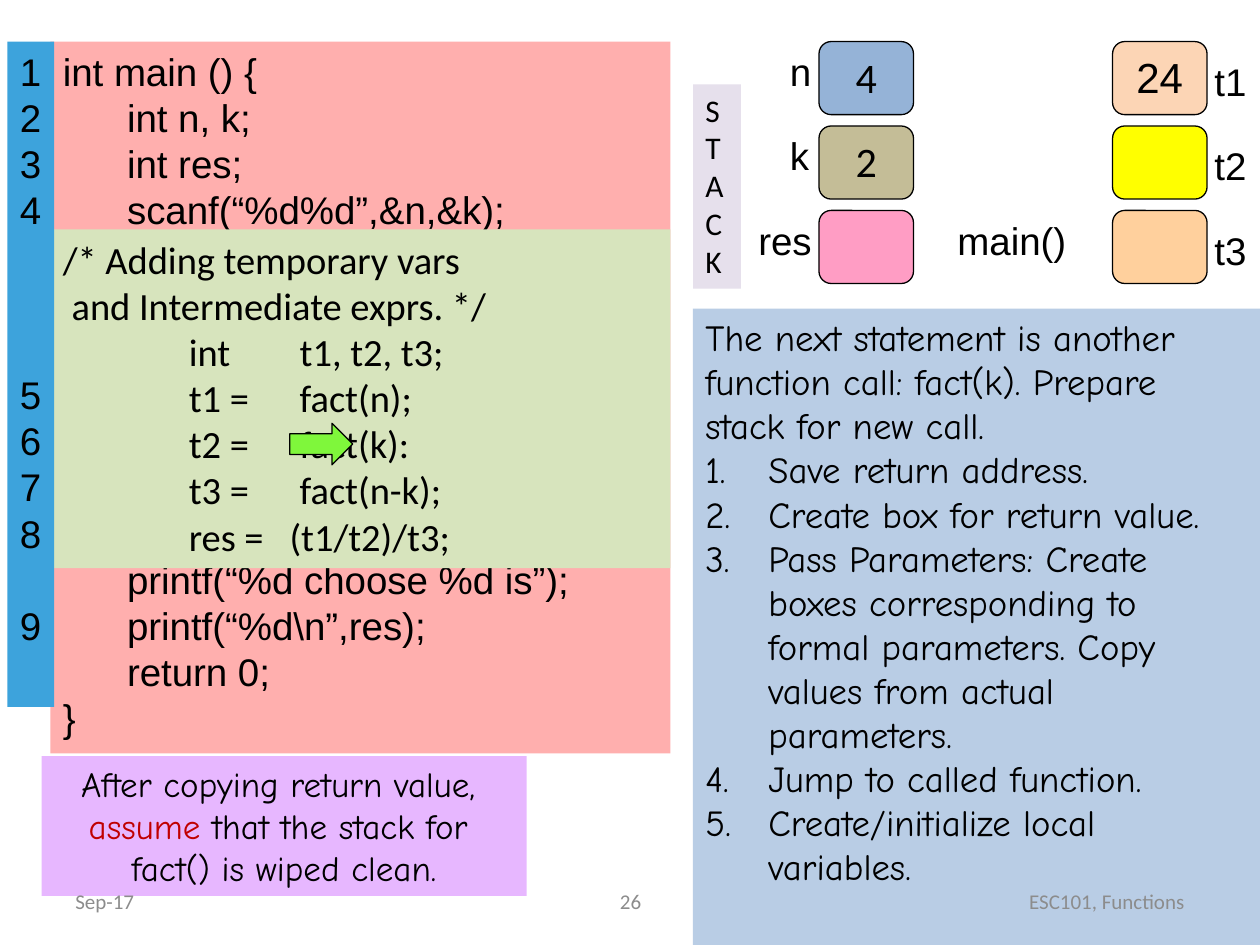
from dataclasses import dataclass

from lxml import etree
from pptx import Presentation
from pptx.dml.color import RGBColor
from pptx.enum.shapes import MSO_SHAPE
from pptx.enum.text import MSO_ANCHOR, MSO_AUTO_SIZE, PP_ALIGN
from pptx.oxml.ns import qn
from pptx.util import Inches, Pt

RECT, ROUND, ARROW = MSO_SHAPE.RECTANGLE, MSO_SHAPE.ROUNDED_RECTANGLE, MSO_SHAPE.RIGHT_ARROW
LEFT, CENTER, RIGHT = PP_ALIGN.LEFT, PP_ALIGN.CENTER, PP_ALIGN.RIGHT
TOP, MIDDLE = MSO_ANCHOR.TOP, MSO_ANCHOR.MIDDLE
GROW, FIXED = MSO_AUTO_SIZE.SHAPE_TO_FIT_TEXT, MSO_AUTO_SIZE.NONE

BLACK = RGBColor(0x00, 0x00, 0x00)
GRAY = RGBColor(0x8C, 0x8C, 0x8C)
RED = RGBColor(0xC0, 0x00, 0x00)
BLUE = RGBColor(0x95, 0xB3, 0xD7)
TAN = RGBColor(0xC4, 0xBD, 0x97)
PINK = RGBColor(0xFF, 0x9D, 0xC4)
PEACH = RGBColor(0xFC, 0xD5, 0xB5)
YELLOW = RGBColor(0xFF, 0xFF, 0x00)
ORANGE = RGBColor(0xFF, 0xD0, 0x9D)
LAVENDER = RGBColor(0xE6, 0xE0, 0xEC)
PURPLE = RGBColor(0xE7, 0xB7, 0xFF)
PALE_BLUE = RGBColor(0xB9, 0xCD, 0xE5)
SALMON = RGBColor(0xFF, 0xAF, 0xAE)
PALE_GREEN = RGBColor(0xD7, 0xE4, 0xBD)
SKY = RGBColor(0x3D, 0xA3, 0xDC)
GREEN = RGBColor(0x7F, 0xF7, 0x3B)

CODE_SIZE = 22
CODE_LINE = 1.2 * CODE_SIZE
ROW_TOP, ROW_STEP = 0.33, 0.67
BOX_W, BOX_H = 0.75, 0.58


@dataclass
class Para:
    text: str
    indent: float = 0
    skip: int = 0  # code lines left free above
    tabs: tuple[float, ...] = ()
    numbered: bool = False
    accent: str = ""  # leading words in red


@dataclass
class Variable:
    name: str
    row: int
    box_left: float
    fill: RGBColor
    label: tuple[float, float, float]  # left, offset from the row, width
    value: str = ""
    value_font: str = "Calibri"


def add_box(left: float, top: float, width: float, height: float, fill: RGBColor,
            kind=RECT, outlined: bool = False):
    sp = s.shapes.add_shape(kind, Inches(left), Inches(top), Inches(width), Inches(height))
    sp.shadow.inherit = False
    sp.fill.solid()
    sp.fill.fore_color.rgb = fill
    if outlined:
        sp.line.color.rgb = BLACK
        sp.line.width = Pt(0.75)
    else:
        sp.line.fill.background()
    return sp


def add_label(left: float, top: float, width: float, height: float):
    return s.shapes.add_textbox(Inches(left), Inches(top), Inches(width), Inches(height))


def write(sp, paras: list[Para], *, size: float, font: str = "Arial", color: RGBColor = BLACK,
          align=LEFT, anchor=TOP, wrap: bool = True, auto=FIXED) -> None:
    tf = sp.text_frame
    tf.word_wrap, tf.auto_size, tf.vertical_anchor = wrap, auto, anchor
    for i, para in enumerate(paras):
        p = tf.paragraphs[0] if i == 0 else tf.add_paragraph()
        p.alignment = align
        if para.skip:
            p.space_before = Pt(para.skip * CODE_LINE)
        pPr = p._p.get_or_add_pPr()
        if para.indent:
            pPr.set("marL", str(Inches(para.indent)))
            pPr.set("indent", str(-Inches(para.indent) if para.numbered else 0))
        if para.numbered:
            etree.SubElement(pPr, qn("a:buAutoNum"), type="arabicPeriod")
        if para.tabs:
            tab_list = etree.SubElement(pPr, qn("a:tabLst"))
            for pos in para.tabs:
                etree.SubElement(tab_list, qn("a:tab"), pos=str(Inches(pos)), algn="l")
        for text, rgb in ((para.accent, RED), (para.text, color)):
            if text:
                r = p.add_run()
                r.text = text
                r.font.size, r.font.name, r.font.color.rgb = Pt(size), font, rgb


def add_variable(v: Variable) -> None:
    top = ROW_TOP + v.row * ROW_STEP
    sp = add_box(v.box_left, top, BOX_W, BOX_H, v.fill, ROUND, outlined=True)
    if v.value:
        write(sp, [Para(v.value)], size=24, font=v.value_font, align=CENTER)
    left, offset, width = v.label
    write(add_label(left, top + offset, width, 0.47), [Para(v.name)],
          size=22, wrap=False, auto=GROW)


prs = Presentation()
prs.slide_width, prs.slide_height = Inches(10), Inches(7.5)
s = prs.slides.add_slide(prs.slide_layouts[6])

# Variables of main() on the stack
for variable in (
    Variable("n", 0, 6.5, BLUE, (6.17, 0, 0.37), "4"),
    Variable("k", 1, 6.5, TAN, (6.17, 0, 0.36), "2"),
    Variable("res", 2, 6.5, PINK, (5.92, 0, 0.63)),
    Variable("t1", 0, 8.83, PEACH, (9.54, 0.08, 0.46), "24", "Arial"),
    Variable("t2", 1, 8.83, YELLOW, (9.54, 0.08, 0.46)),
    Variable("t3", 2, 8.83, ORANGE, (9.54, 0.08, 0.46)),
):
    add_variable(variable)
write(add_label(7.5, 1.67, 1.08, 0.47), [Para("main()")], size=22, wrap=False, auto=GROW)
write(add_box(5.5, 0.67, 0.38, 1.62, LAVENDER), [Para(c) for c in "STACK"],
      size=18, font="Calibri", wrap=False, auto=GROW)

# Remark below the code
write(add_box(0.33, 6, 3.85, 1.11, PURPLE),
      [Para("After copying return value, "),
       Para(" that the stack for ", accent="assume"),
       Para("fact() is wiped clean.")],
      size=20, font="Comic Neue", align=CENTER, wrap=False, auto=GROW)

# Steps of the call
steps = ("Save return address.", "Create box for return value.",
         "Pass Parameters: Create boxes corresponding to formal parameters. "
         "Copy values from actual parameters.",
         "Jump to called function.", "Create/initialize local variables.")
write(add_box(5.5, 2.45, 4.5, 5.05, PALE_BLUE),
      [Para("The next statement is another function call: fact(k). Prepare stack for new call.")]
      + [Para(step, indent=0.5, numbered=True) for step in steps],
      size=21, font="Comic Neue")

# Program code, the inserted statements and the line numbers
body = (("int n, k;", 0), ("int res;", 0), ("scanf(“%d%d”,&n,&k);", 0),
        ("printf(“%d choose %d is”);", 7), ("printf(“%d\\n”,res);", 0), ("return 0;", 0))
write(add_box(0.4, 0.33, 4.92, 5.65, SALMON),
      [Para("int main () {")] + [Para(t, indent=0.51, skip=n) for t, n in body] + [Para("}")],
      size=CODE_SIZE)

statements = (("int", "t1, t2, t3;", 1.88), ("t1 =", "fact(n);", 1.88), ("t2 =", "fact(k):", 1.88),
              ("t3 =", "fact(n-k);", 1.88), ("res =", "(t1/t2)/t3;", 1.8))
write(add_box(0.4, 1.82, 4.92, 2.69, PALE_GREEN),
      [Para("/* Adding temporary vars"), Para("and Intermediate exprs. */", indent=0.07)]
      + [Para(f"\t{a}\t{b}", tabs=(1, pos)) for a, b, pos in statements],
      size=CODE_SIZE, font="Calibri")

gaps = {5: 3, 9: 1}
write(add_box(0.06, 0.33, 0.37, 5.28, SKY),
      [Para(str(n), skip=gaps.get(n, 0)) for n in range(1, 10)],
      size=CODE_SIZE, wrap=False, auto=GROW)
add_box(2.3, 3.36, 0.5, 0.33, GREEN, ARROW, outlined=True)

# Footer
for text, left, width, align in (("Sep-17", 0.5, 2.33, LEFT),
                                 ("ESC101, Functions", 7.17, 2.33, RIGHT),
                                 ("26", 3.42, 3.17, CENTER)):
    write(add_label(left, 6.95, width, 0.4), [Para(text)], size=12, font="Calibri",
          color=GRAY, align=align, anchor=MIDDLE)

prs.save("out.pptx")
